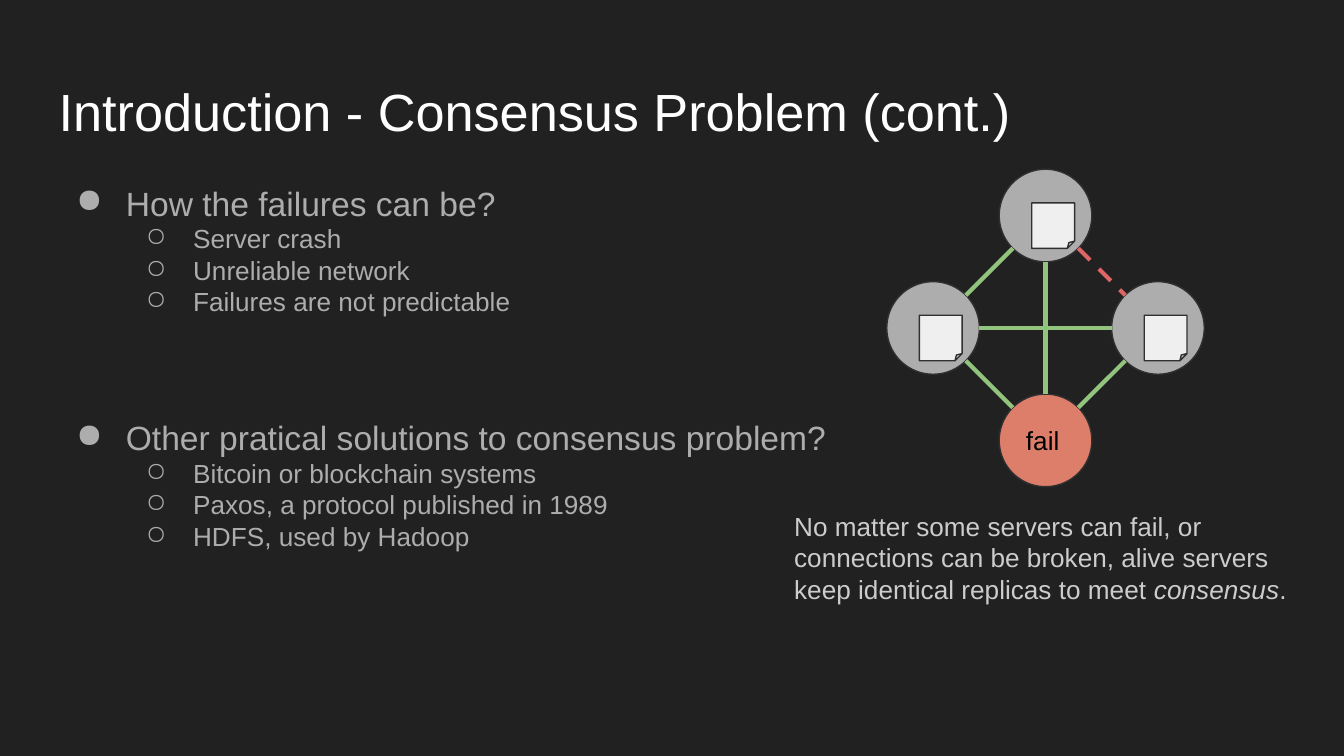
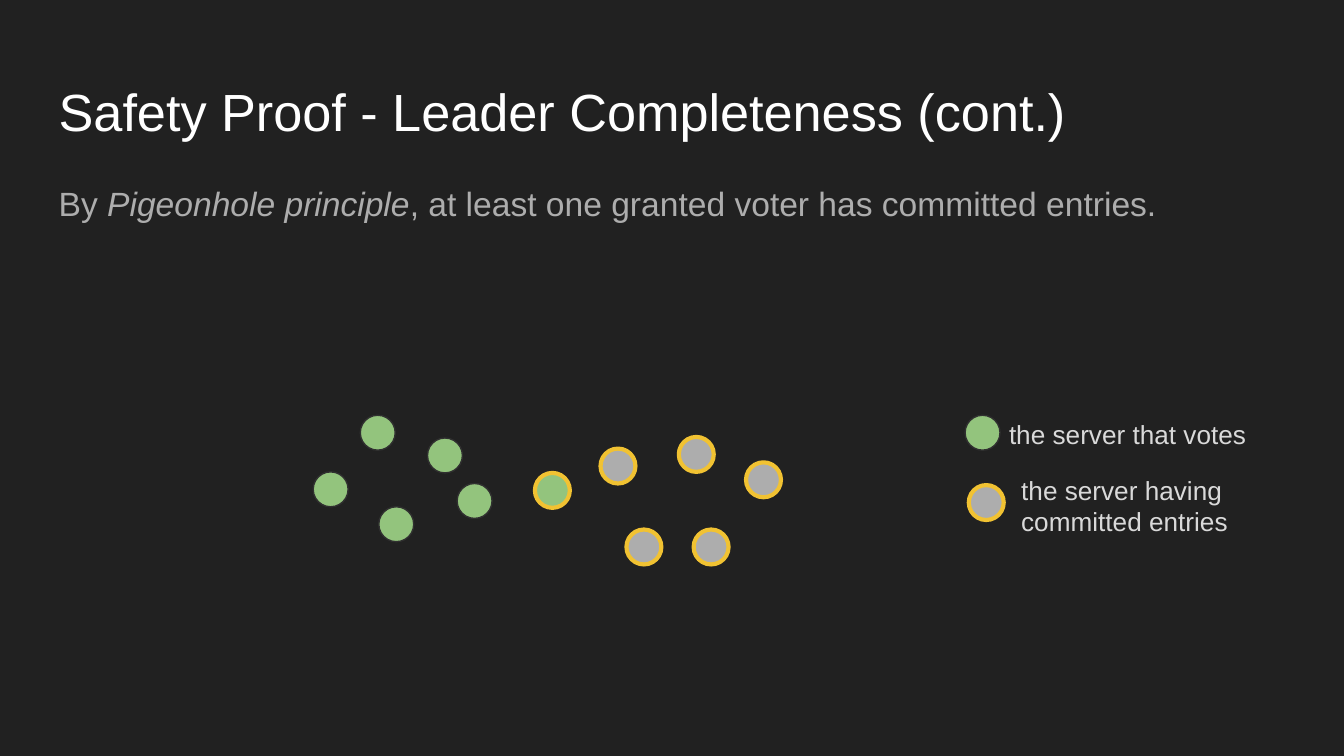
from math import hypot

from lxml import etree
from pptx import Presentation
from pptx.dml import color
from pptx.enum import dml, shapes, text
from pptx.oxml import ns
from pptx import util as u

RGB = color.RGBColor
DARK = RGB(0x21, 0x21, 0x21)
EDGE = RGB(0x30, 0x30, 0x30)
WHITE = RGB(0xFF, 0xFF, 0xFF)
BLACK = RGB(0, 0, 0)
GRAY = RGB(0xAD, 0xAD, 0xAD)
PALE = RGB(0xCC, 0xCC, 0xCC)
LIGHT = RGB(0xD9, 0xD9, 0xD9)
PAPER = RGB(0xEF, 0xEF, 0xEF)
GREEN = RGB(0x93, 0xC4, 0x7D)
RED = RGB(0xE0, 0x66, 0x66)
CORAL = RGB(0xDD, 0x7E, 0x6B)
GOLD = RGB(0xF1, 0xC2, 0x32)

FONT = "Arial"
INSET = u.Cm(0.25)
TITLE = (0.86, 1.25, 23.67, 1.6)
BODY = (0.86, 3.2, 23.67, 9.5)
BULLETS = (("●", 1.27, 0.94, 18), ("○", 2.54, 0.89, 14))
DOT = 0.66


def write(para, words, size, tint):
    """Fill a paragraph, setting the parts between asterisks in italics."""
    para.alignment = text.PP_ALIGN.LEFT
    for n, part in enumerate(words.split("*")):
        run = para.add_run()
        run.text = part
        font = run.font
        font.name, font.size = FONT, u.Pt(size)
        font.color.rgb = tint
        if n % 2:
            font.italic = True


def frame(shape, anchor):
    """Give a shape's text frame the shared insets and wrapping."""
    tf = shape.text_frame
    tf.word_wrap = True
    tf.vertical_anchor = anchor
    tf.margin_left = tf.margin_right = INSET
    tf.margin_top = tf.margin_bottom = INSET
    return tf


def label(slide, box, words, size, tint):
    """Place a text box and return its frame."""
    shape = slide.shapes.add_textbox(*map(u.Cm, box))
    tf = frame(shape, text.MSO_ANCHOR.TOP)
    if words:
        write(tf.paragraphs[0], words, size, tint)
    return tf


def solid(parent, kind, box, fill, edge=EDGE, width=0.75):
    """Draw a filled and outlined preset shape."""
    shape = parent.add_shape(kind, *map(u.Cm, box))
    shape.shadow.inherit = False
    shape.fill.solid()
    shape.fill.fore_color.rgb = fill
    shape.line.color.rgb = edge
    shape.line.width = u.Pt(width)
    return shape


def bullet(para, level):
    """Give a paragraph the bullet and indent of its level."""
    mark, left, hang, _ = BULLETS[level]
    para.level = level
    props = para._p.get_or_add_pPr()
    props.set("marL", str(u.Cm(left)))
    props.set("indent", str(-u.Cm(hang)))
    tint = etree.SubElement(props, ns.qn("a:buClr"))
    etree.SubElement(tint, ns.qn("a:srgbClr"), val=str(GRAY))
    etree.SubElement(props, ns.qn("a:buChar"), char=mark)


def outline(slide, box, topics):
    """List topics with their points, leaving a gap between topics."""
    tf = label(slide, box, "", 18, GRAY)
    para = tf.paragraphs[0]
    for n, (head, points) in enumerate(topics):
        for level, words in [(0, head)] + [(1, p) for p in points]:
            if n or level:
                para = tf.add_paragraph()
            if n and not level:
                para.space_before = u.Pt(53.7)
            write(para, words, BULLETS[level][3], GRAY)
            bullet(para, level)


def link(group, start, end, trim, tint, dash):
    """Join two node centres with a line that stops at their rims."""
    (ax, ay), (bx, by) = start, end
    span = hypot(bx - ax, by - ay)
    dx, dy = (bx - ax) / span * trim, (by - ay) / span * trim
    ends = (ax + dx, ay + dy, bx - dx, by - dy)
    line = group.add_connector(shapes.MSO_CONNECTOR.STRAIGHT,
                               *map(u.Cm, ends))
    line.line.color.rgb = tint
    line.line.width = u.Pt(2.25)
    if dash:
        line.line.dash_style = dml.MSO_LINE.DASH
    etree.SubElement(line._element.spPr, ns.qn("a:effectLst"))


def network(slide, left, top, side):
    """Draw four linked servers, one failed and one link broken."""
    group = slide.shapes.add_group_shape().shapes
    size = 1.75
    rim, mid = size / 2, side / 2
    spots = {"north": (mid, rim), "west": (rim, mid),
             "east": (side - rim, mid), "south": (mid, side - rim)}
    nodes = {k: (left + x, top + y) for k, (x, y) in spots.items()}
    for key, (x, y) in nodes.items():
        fill = CORAL if key == "south" else GRAY
        node = solid(group, shapes.MSO_SHAPE.OVAL,
                     (x - rim, y - rim, size, size), fill)
    tf = frame(node, text.MSO_ANCHOR.MIDDLE)
    write(tf.paragraphs[0], "fail", 14, BLACK)
    pairs = ("west north", "north east", "west south",
             "south east", "west east", "north south")
    for pair in pairs:
        start, end = pair.split()
        cut = pair == "north east"
        link(group, nodes[start], nodes[end], rim, RED if cut else GREEN, cut)
    for key in ("north", "east", "west"):
        x, y = nodes[key]
        solid(group, shapes.MSO_SHAPE.FOLDED_CORNER,
              (x - 0.26, y - 0.24, 0.81, 0.86), PAPER)


def dot(slide, x, y, votes, holds):
    """Draw a server that votes, holds committed entries, or both."""
    rim = (GOLD, 2.25) if holds else (EDGE, 0.75)
    solid(slide.shapes, shapes.MSO_SHAPE.OVAL, (x, y, DOT, DOT),
          GREEN if votes else GRAY, *rim)


def quorum(slide, left, top):
    """Scatter the two majorities, which share one server."""
    voters = ((0, 1.07), (1.24, 1.73), (0.89, 0), (2.16, 0.43), (2.72, 1.29))
    holders = ((6.91, 0.41), (5.92, 2.16), (5.43, 0.63),
               (8.18, 0.89), (7.19, 2.16))
    shared = ((4.19, 1.09),)
    for spots, votes, holds in ((voters, True, False), (holders, False, True),
                                (shared, True, True)):
        for x, y in spots:
            dot(slide, left + x, top + y, votes, holds)


def legend(slide, left, top):
    """Explain the two kinds of server."""
    rows = ((0, 0.2, 0.58, 0, True, "the server that votes"),
            (0.07, 1.52, 0.81, 1.06, False,
             "the server having committed entries"))
    for x, y, tx, ty, votes, words in rows:
        dot(slide, left + x, top + y, votes, not votes)
        label(slide, (left + tx, top + ty, 6.55, 1.3), words, 14, LIGHT)


def page(deck, title):
    """Add a dark slide with its title."""
    slide = deck.slides.add_slide(deck.slide_layouts[6])
    fill = slide.background.fill
    fill.solid()
    fill.fore_color.rgb = DARK
    label(slide, TITLE, title, 28, WHITE)
    return slide


def problem(deck):
    """Build the slide on failures and other solutions."""
    slide = page(deck, "Introduction - Consensus Problem (cont.)")
    outline(slide, BODY, (
        ("How the failures can be?",
         ("Server crash", "Unreliable network",
          "Failures are not predictable")),
        ("Other pratical solutions to consensus problem?",
         ("Bitcoin or blockchain systems",
          "Paxos, a protocol published in 1989",
          "HDFS, used by Hadoop"))))
    network(slide, 16.76, 3.2, 6)
    label(slide, (14.76, 9.4, 10.64, 3.66),
          "No matter some servers can fail, or connections can be broken, "
          "alive servers keep identical replicas to meet *consensus*.",
          14, PALE)


def proof(deck):
    """Build the slide on overlapping majorities."""
    slide = page(deck, "Safety Proof - Leader Completeness (cont.)")
    label(slide, BODY, "By *Pigeonhole principle*, at least one granted "
          "voter has committed entries.", 18, GRAY)
    quorum(slide, 5.92, 7.85)
    legend(slide, 18.24, 7.65)


def main():
    """Build and save the deck."""
    deck = Presentation()
    deck.slide_width, deck.slide_height = u.Cm(25.4), u.Cm(14.29)
    problem(deck)
    proof(deck)
    deck.save("out.pptx")


if __name__ == "__main__":
    main()
